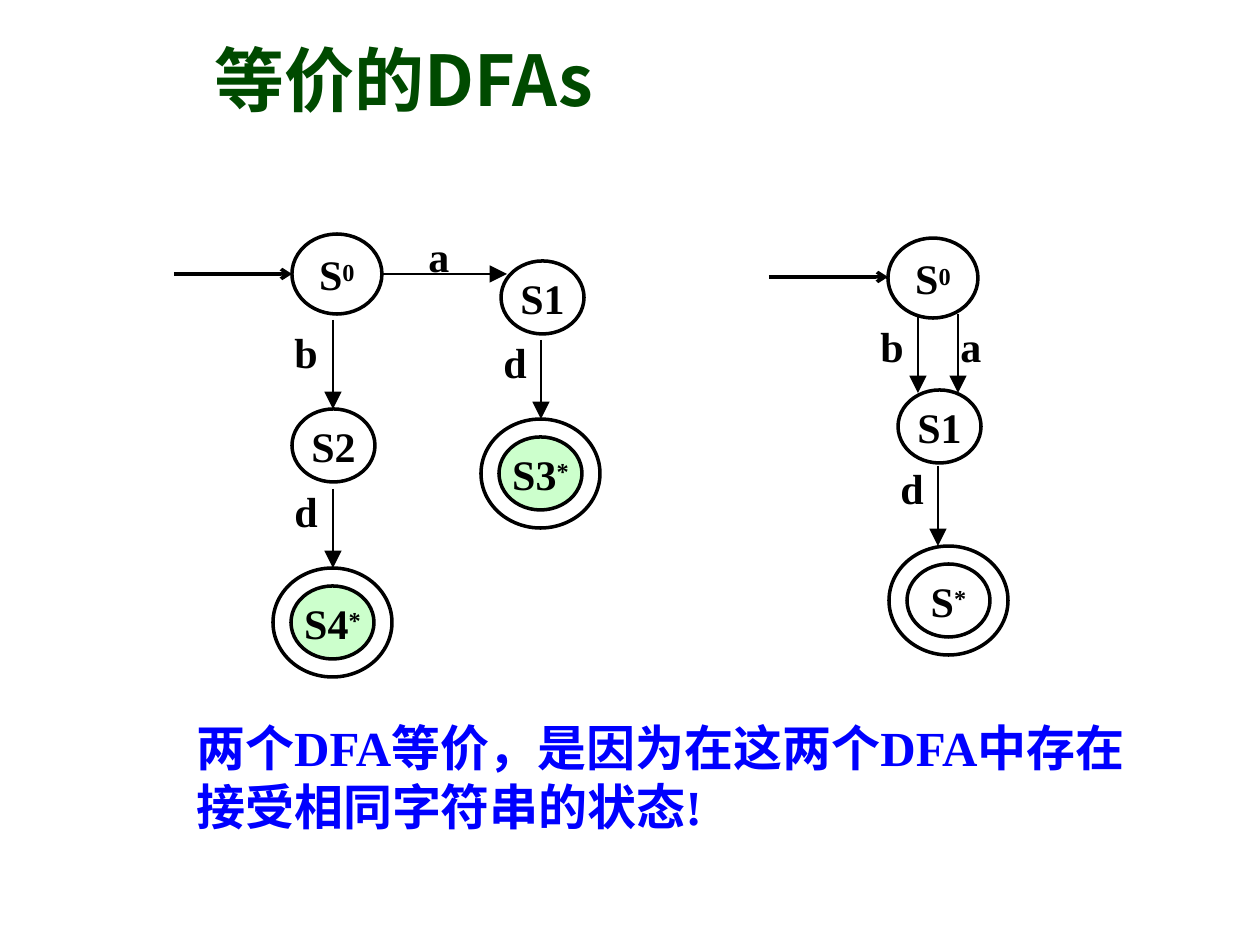
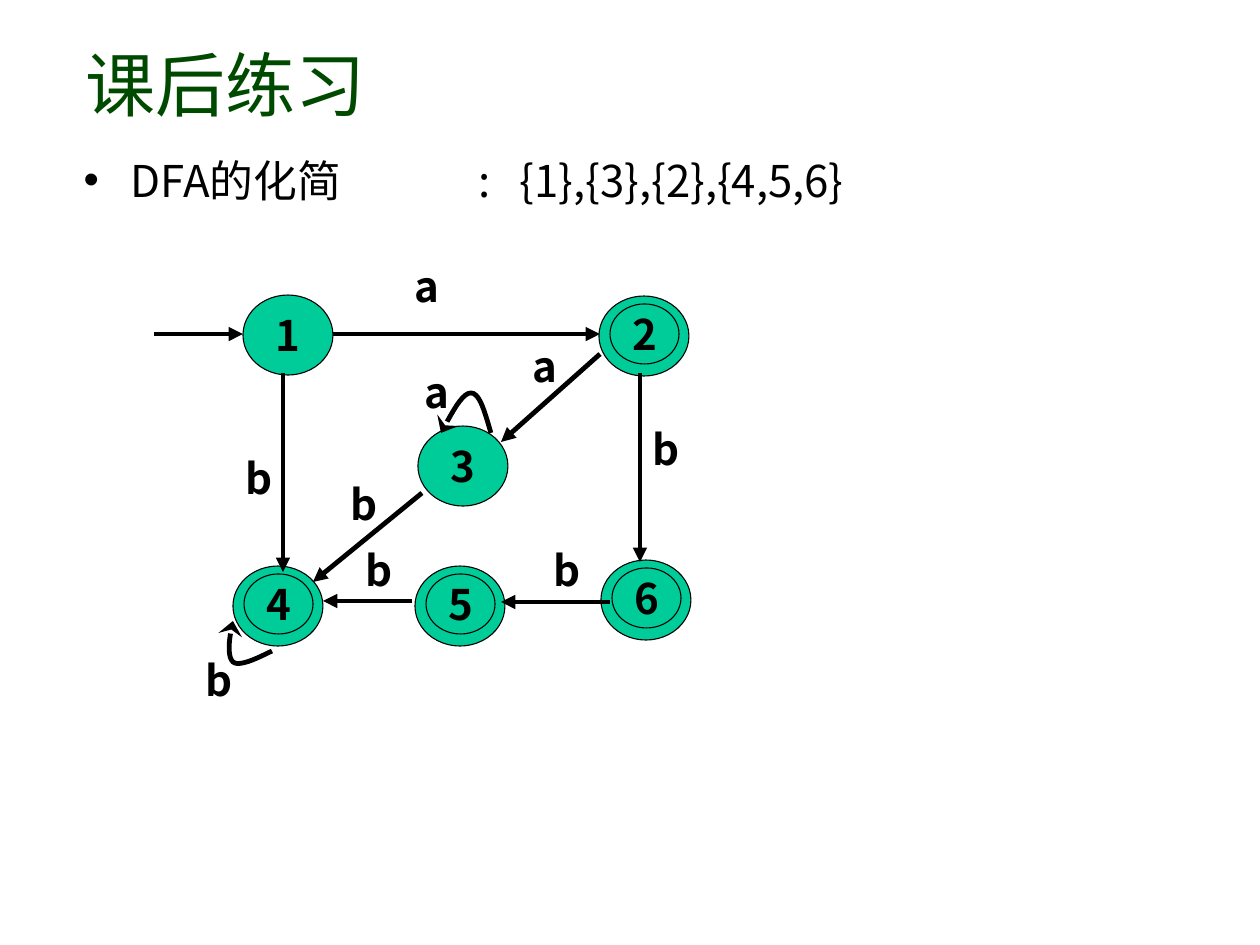
from dataclasses import dataclass

from lxml.etree import SubElement
from pptx import Presentation
from pptx.dml.color import RGBColor as Color
from pptx.enum.shapes import MSO_CONNECTOR as Connector, MSO_SHAPE as Preset
from pptx.enum.text import MSO_ANCHOR as Anchor, MSO_AUTO_SIZE as AutoSize, PP_ALIGN as Align
from pptx.oxml.ns import qn
from pptx.util import Emu, Pt


@dataclass(frozen=True)
class Theme:
    sans: str = "Noto Sans CJK KR"
    serif: str = "Times New Roman"
    ink: Color = Color.from_string("000000")
    title: Color = Color.from_string("004A00")
    note: Color = Color.from_string("0000FF")
    accepting: Color = Color.from_string("CCFFCC")
    state: Color = Color.from_string("00CC99")
    title_size: float = 40
    note_size: float = 28
    list_size: float = 25
    label_size: float = 24
    thin: float = 1
    medium: float = 2
    thick: float = 2.75
    hairline: float = 0.62


theme = Theme()
PX = 914400 / 126


def write(frame, spans, size, font, color=theme.ink, bold=True, align=Align.LEFT):
    para = frame.paragraphs[0]
    para.alignment = align
    para.space_before = Pt(0)
    for text, settings in spans:
        span = para.add_run()
        span.text = text
        span.font.size = Pt(size)
        span.font.bold = bold
        span.font.color.rgb = color
        span.font.name = font
        properties = span.font._element
        SubElement(properties, qn("a:ea"), typeface=theme.sans)
        for name, value in settings.items():
            properties.set(name, str(value))


def point_arrow(line_shape, weight, head, head_width, head_length):
    line_shape.line.color.rgb = theme.ink
    line_shape.line.width = Pt(weight)
    SubElement(line_shape.line._get_or_add_ln(), qn("a:tailEnd"),
               type=head, w=head_width, len=head_length)


deck = Presentation()
deck.slide_width, deck.slide_height = Emu(round(1260 * PX)), Emu(round(945 * PX))
equivalent_page = deck.slides.add_slide(deck.slide_layouts[5])
exercise_page = deck.slides.add_slide(deck.slide_layouts[1])

headings = [
    (equivalent_page, "等价的DFAs", True, (202, 38, 820, 81)),
    (exercise_page, "课后练习", False, (73, 21, 1070, 126)),
]
for page, text, bold, place in headings:
    title = page.shapes.title
    title.left, title.top, title.width, title.height = [Emu(round(v * PX)) for v in place]
    title.text_frame.auto_size = AutoSize.NONE
    title.text_frame.vertical_anchor = Anchor.MIDDLE
    write(title.text_frame, [(text, {})], theme.title_size, theme.sans, theme.title, bold)

body = exercise_page.placeholders[1]
body.left, body.top, body.width, body.height = [Emu(round(v * PX)) for v in (71, 147, 1071, 651)]
body.text_frame.auto_size = AutoSize.NONE
partition = [
    ("DFA的化简", {}),
    (" ", {"spc": 7300}),
    (":", {}),
    (" ", {"spc": 1100}),
    ("{1},{3},{2},{4,5,6}", {}),
]
write(body.text_frame, partition, theme.list_size, theme.sans, bold=False)

LARGE, SMALL, RING, INSET = (90, 80), (83, 73), (119, 109), (69, 60)
zero = ("0", {"baseline": 22000})
star = ("*", {"baseline": 24000})
equivalent_states = [
    (292, 234, LARGE, None, [("S", {}), zero]),
    (501, 261, SMALL, None, [("S1", {})]),
    (292, 409, SMALL, None, [("S2", {})]),
    (499, 437, SMALL, theme.accepting, [("S3", {}), star]),
    (481, 419, RING, None, []),
    (291, 586, SMALL, theme.accepting, [("S4", {}), star]),
    (273, 568, RING, None, []),
    (888, 238, LARGE, None, [("S", {}), zero]),
    (898, 390, SMALL, None, [("S1", {})]),
    (907, 564, SMALL, None, [("S", {}), star]),
    (889, 546, RING, None, []),
]
exercise_states = []
for number, left, top, final in [
    ("1", 243, 295, False), ("2", 599, 296, True), ("3", 418, 426, False),
    ("4", 233, 566, True), ("5", 415, 566, True), ("6", 601, 560, True),
]:
    name = [(number, {})]
    exercise_states.append((left, top, LARGE, theme.state, [] if final else name))
    if final:
        exercise_states.append((left + 11, top + 8, INSET, theme.state, name))

for page, states, weight, font in [
    (equivalent_page, equivalent_states, theme.medium, theme.serif),
    (exercise_page, exercise_states, theme.hairline, theme.sans),
]:
    for left, top, (width, height), fill, name in states:
        place = [Emu(round(v * PX)) for v in (left, top, width, height)]
        state = page.shapes.add_shape(Preset.OVAL, *place)
        state.shadow.inherit = False
        state.line.color.rgb = theme.ink
        state.line.width = Pt(weight)
        if fill is None:
            state.fill.background()
        else:
            state.fill.solid()
            state.fill.fore_color.rgb = fill
        if name:
            state.text_frame.word_wrap = False
            state.text_frame.vertical_anchor = Anchor.MIDDLE
            write(state.text_frame, name, theme.label_size, font, align=Align.CENTER)

entry_arrows = [(174, 274, 292, 274), (769, 277, 888, 277)]
equivalent_arrows = [
    (382, 274, 507, 274), (333, 320, 333, 409), (541, 340, 541, 419),
    (333, 489, 333, 568), (958, 314, 958, 393), (918, 314, 918, 393),
    (938, 466, 938, 546),
]
exercise_arrows = [
    (154, 334, 243, 334), (333, 334, 600, 334), (283, 373, 283, 572),
    (640, 373, 640, 562), (610, 602, 501, 602), (412, 601, 323, 601),
    (600, 354, 501, 442), (422, 493, 313, 582),
]
for page, arrows, weight, head, head_size in [
    (equivalent_page, entry_arrows, theme.medium, "arrow", "med"),
    (equivalent_page, equivalent_arrows, theme.thin, "triangle", "lg"),
    (exercise_page, exercise_arrows, theme.thick, "triangle", "med"),
]:
    for ends in arrows:
        arrow = page.shapes.add_connector(Connector.STRAIGHT, *[Emu(round(v * PX)) for v in ends])
        point_arrow(arrow, weight, head, head_size, head_size)
        SubElement(arrow._element.spPr, qn("a:effectLst"))

STEPS = 10
self_loops = [
    [(491, 433), (485, 413), (480, 393), (471, 393), (462, 393), (452, 413), (441, 433)],
    [(272, 651), (256, 659), (239, 667), (233, 662), (227, 656), (229, 639), (233, 621)],
]
for controls in self_loops:
    points = []
    for first in (0, 3):
        curve = controls[first:first + 4]
        for step in range(1, STEPS + 1):
            t = step / STEPS
            weights = ((1 - t) ** 3, 3 * t * (1 - t) ** 2, 3 * t ** 2 * (1 - t), t ** 3)
            points.append([round(sum(w * p[axis] for w, p in zip(weights, curve)) * PX)
                           for axis in (0, 1)])
    start_x, start_y = controls[0]
    builder = exercise_page.shapes.build_freeform(round(start_x * PX), round(start_y * PX))
    builder.add_line_segments(points, close=False)
    loop = builder.convert_to_shape()
    loop.shadow.inherit = False
    loop.fill.background()
    point_arrow(loop, theme.thick, "stealth", "lg", "med")

equivalent_labels = [
    ("a", 416, 224), ("b", 282, 320), ("d", 491, 330), ("d", 282, 479),
    ("a", 948, 314), ("b", 868, 314), ("d", 888, 456),
]
exercise_labels = [
    ("a", 402, 254), ("b", 640, 417), ("a", 412, 360), ("b", 338, 472), ("b", 353, 538),
    ("b", 541, 538), ("b", 233, 446), ("b", 193, 648), ("a", 520, 334),
]
note = "两个DFA等价，是因为在这两个DFA中存在接受相同字符串的状态!"
for page, labels, size, font, color, width, height in [
    (equivalent_page, equivalent_labels, theme.label_size, theme.serif, theme.ink, 62, 63),
    (exercise_page, exercise_labels, theme.label_size, theme.sans, theme.ink, 59, 63),
    (equivalent_page, [(note, 184, 711)], theme.note_size, theme.serif, theme.note, 973, 131),
]:
    for text, left, top in labels:
        box = page.shapes.add_textbox(*[Emu(round(v * PX)) for v in (left, top, width, height)])
        box.text_frame.word_wrap = True
        write(box.text_frame, [(text, {})], size, font, color)

deck.save("out.pptx")
